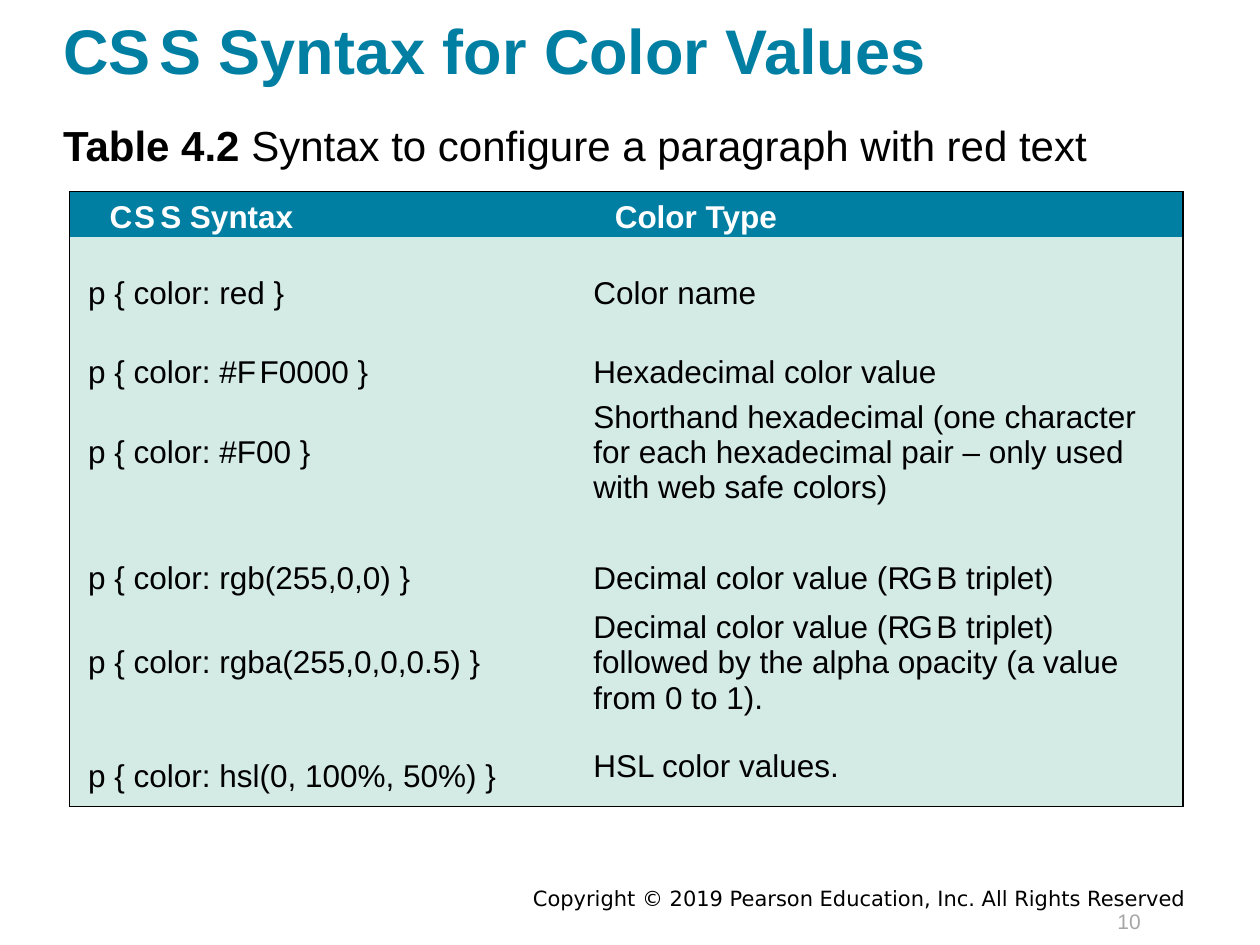
from dataclasses import dataclass
from typing import Any

from lxml.etree import SubElement
from pptx import Presentation
from pptx.dml.color import RGBColor
from pptx.enum.text import MSO_ANCHOR, PP_ALIGN
from pptx.oxml.ns import qn
from pptx.util import Inches, Pt


@dataclass(frozen=True)
class Theme:
    font: str = "Arial"
    footer_font: str = "DejaVu Sans"
    teal: str = "007FA3"
    mint: str = "D4EAE4"
    black: str = "000000"
    white: str = "FFFFFF"
    gray: str = "A6A6A6"
    title: int = 36
    caption: int = 24
    table: int = 18
    footer: int = 12


@dataclass(frozen=True)
class Style:
    size: int
    color: str
    font: str = "Arial"
    bold: bool = False


@dataclass(frozen=True)
class Piece:
    text: str
    spacing: float = 0
    bold: bool | None = None


@dataclass(frozen=True)
class Label:
    pieces: tuple[Piece, ...]
    place: tuple[float, float, float, float]
    style: Style
    frame: dict[str, Any]
    align: Any = PP_ALIGN.LEFT


@dataclass(frozen=True)
class Entry:
    pieces: tuple[Piece, ...]
    line_spacing: float = 2.0
    top: float = 0.03
    anchor: Any = MSO_ANCHOR.TOP
    indent: tuple[float, float] = (0.08, 0)


THEME = Theme()
NO_GRID_STYLE = "{2D5ABB26-0587-4C30-8999-92F81FD0307C}"
COLUMNS = (4.01, 4.83)
ROWS = (0.35, 0.6, 0.6, 1, 0.67, 0.92, 0.66)


def apply(target: Any, values: dict[str, Any]) -> None:
    for name, value in values.items():
        setattr(target, name, value)


def margins(left: float, top: float, right: float, bottom: float) -> dict[str, Any]:
    return {"margin_left": Inches(left), "margin_top": Inches(top),
            "margin_right": Inches(right), "margin_bottom": Inches(bottom)}


def write(para: Any, pieces: tuple[Piece, ...], style: Style) -> None:
    for piece in pieces:
        span = para.add_run()
        span.text = piece.text
        bold = style.bold if piece.bold is None else piece.bold
        apply(span.font, {"name": style.font, "size": Pt(style.size), "bold": bold})
        span.font.color.rgb = RGBColor.from_string(style.color)
        if piece.spacing:
            span._r.get_or_add_rPr().set("spc", str(round(piece.spacing * 100)))


def add_label(page: Any, label: Label) -> None:
    box = page.shapes.add_textbox(*map(Inches, label.place))
    apply(box.text_frame, {"word_wrap": True} | label.frame)
    para = box.text_frame.paragraphs[0]
    para.alignment = label.align
    write(para, label.pieces, label.style)


def add_border(cell: Any, side: str) -> None:
    line = SubElement(cell._tc.get_or_add_tcPr(), qn(f"a:ln{side}"), w=str(Pt(1)))
    fill = SubElement(line, qn("a:solidFill"))
    SubElement(fill, qn("a:srgbClr"), val=THEME.black)


def fill_cell(cell: Any, entry: Entry, sides: str, fill: str, style: Style) -> None:
    apply(cell, margins(0.07, entry.top, 0.07, 0) | {"vertical_anchor": entry.anchor})
    for side in sides:
        add_border(cell, side)
    cell.fill.solid()
    cell.fill.fore_color.rgb = RGBColor.from_string(fill)
    para = cell.text_frame.paragraphs[0]
    para.line_spacing = entry.line_spacing
    left, first = entry.indent
    properties = para._p.get_or_add_pPr()
    properties.set("marL", str(Inches(left)))
    properties.set("indent", str(Inches(first)))
    write(para, entry.pieces, style)


def add_syntax_table(page: Any, entries: list[tuple[Entry, Entry]]) -> None:
    frame = page.shapes.add_table(len(ROWS), len(COLUMNS), Inches(0.55), Inches(1.52),
                                  Inches(sum(COLUMNS)), Inches(sum(ROWS)))
    table = frame.table
    table._tbl.tblPr.find(qn("a:tableStyleId")).text = NO_GRID_STYLE
    table.horz_banding = False
    for column, width in zip(table.columns, COLUMNS):
        column.width = Inches(width)
    for row, height in zip(table.rows, ROWS):
        row.height = Inches(height)

    header = Style(THEME.table, THEME.white, bold=True)
    body = Style(THEME.table, THEME.black)
    for r, pair in enumerate(entries):
        fill, style = (THEME.mint, body) if r else (THEME.teal, header)
        for c, entry in enumerate(pair):
            # Only the outer edge of the table is ruled
            sides = "LR"[c] + ("T" if r == 0 else "") + ("B" if r == len(ROWS) - 1 else "")
            fill_cell(table.cell(r, c), entry, sides, fill, style)


def heading(*pieces: Piece) -> Entry:
    return Entry(pieces, 1.0, 0.06, MSO_ANCHOR.MIDDLE, (0, 0.25))


def plain(text: str, **options: Any) -> Entry:
    return Entry((Piece(text),), **options)


def decimal_value(ending: str, **options: Any) -> Entry:
    return Entry((Piece("Decimal color value ("), Piece("R G ", -3), Piece(ending)), **options)


ENTRIES = [
    (heading(Piece("C S ", -2), Piece("S Syntax")), heading(Piece("Color Type"))),
    (plain("p { color: red }"), plain("Color name")),
    (Entry((Piece("p { color: #"), Piece("F ", -3), Piece("F0000 }"))),
     plain("Hexadecimal color value")),
    (plain("p { color: #F00 }"),
     plain("Shorthand hexadecimal (one character for each hexadecimal pair – "
           "only used with web safe colors)", line_spacing=1.0)),
    (plain("p { color: rgb(255,0,0) }"), decimal_value("B triplet)")),
    (plain("p { color: rgba(255,0,0,0.5) }"),
     decimal_value("B triplet) followed by the alpha opacity (a value from 0 to 1).",
                   line_spacing=1.0)),
    (plain("p { color: hsl(0, 100%, 50%) }", top=0),
     plain("HSL color values.", line_spacing=1.0, anchor=MSO_ANCHOR.MIDDLE)),
]

LABELS = [
    # Footer and slide number
    Label((Piece("Copyright © 2019 Pearson Education, Inc. All Rights Reserved"),),
          (1.68, 6.98, 7.83, 0.3), Style(THEME.footer, THEME.black, THEME.footer_font),
          {}, PP_ALIGN.RIGHT),
    Label((Piece("10"),), (8.77, 7.16, 0.41, 0.3), Style(THEME.footer, THEME.gray),
          {"word_wrap": False}),
    # Title and table caption
    Label((Piece("C S ", -5), Piece("S Syntax for Color Values")), (0.5, 0.08, 8.92, 0.61),
          Style(THEME.title, THEME.teal, bold=True),
          margins(0, 0, 0, 0) | {"vertical_anchor": MSO_ANCHOR.BOTTOM}),
    Label((Piece("Table 4.2 ", bold=True),
           Piece("Syntax to configure a paragraph with red text")),
          (0.5, 0.92, 8.92, 0.4), Style(THEME.caption, THEME.black), margins(0, 0.03, 0, 0)),
]


def main() -> None:
    deck = Presentation()
    apply(deck, {"slide_width": Inches(10), "slide_height": Inches(7.5)})
    page = deck.slides.add_slide(deck.slide_layouts[6])
    for label in LABELS:
        add_label(page, label)
    add_syntax_table(page, ENTRIES)
    deck.save("out.pptx")


if __name__ == "__main__":
    main()
